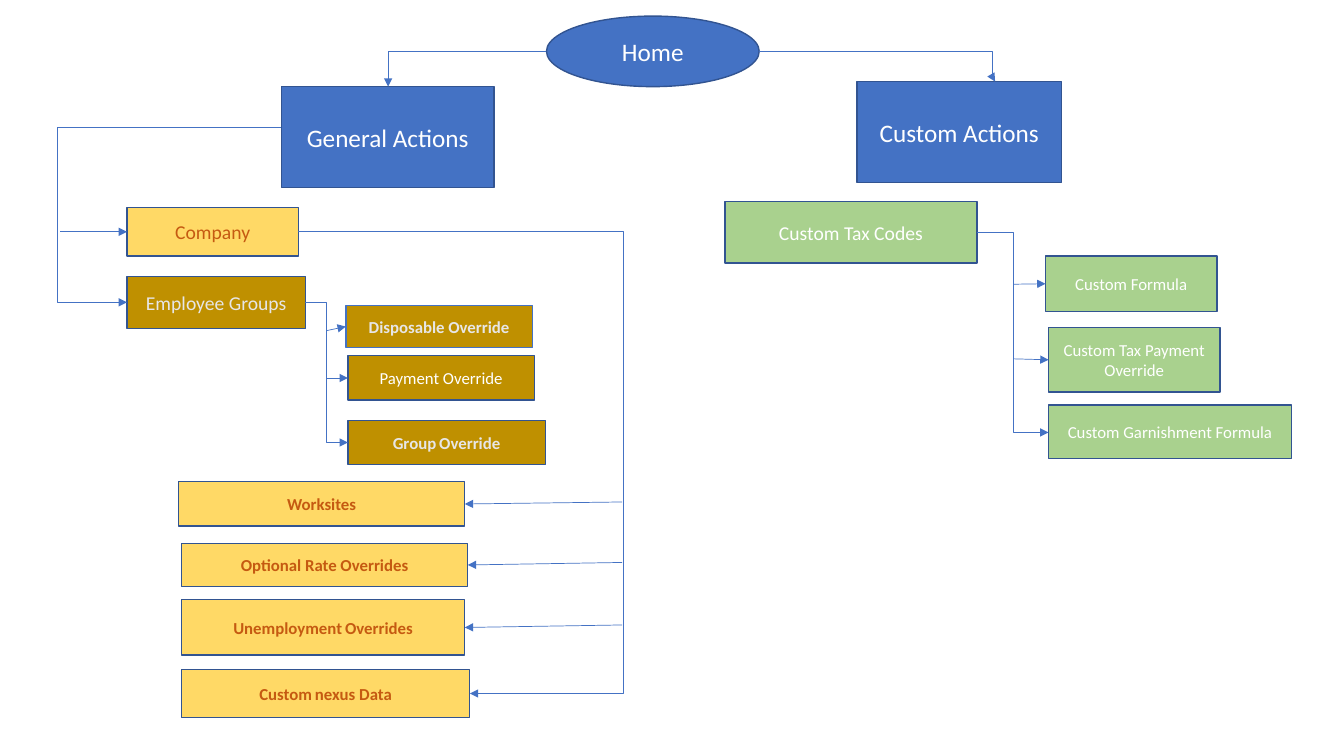
from dataclasses import dataclass

from lxml.etree import SubElement
from pptx import Presentation
from pptx.dml.color import RGBColor
from pptx.enum.shapes import MSO_CONNECTOR, MSO_SHAPE
from pptx.enum.text import MSO_ANCHOR, PP_ALIGN
from pptx.oxml.ns import qn
from pptx.util import Inches, Pt


@dataclass(frozen=True)
class Theme:
    font: str = "Calibri"
    blue: str = "4472C4"
    edge: str = "325491"
    gold: str = "FFD966"
    ochre: str = "BF9000"
    green: str = "A9D18E"
    rust: str = "C55A11"
    pale: str = "E7E6E6"
    white: str = "FFFFFF"
    large: int = 18
    mid: int = 14
    small: int = 12
    edge_pt: float = 1
    wire_pt: float = 0.5


THEME = Theme()
LEFT, RIGHT = 1, 3
HEAD = dict(fill=THEME.blue, ink=THEME.white, size=THEME.large)
FIRM = dict(fill=THEME.gold, ink=THEME.rust, size=THEME.mid)
DATA = dict(FIRM, size=THEME.small, bold=True)
GROUP = dict(fill=THEME.ochre, ink=THEME.pale, size=THEME.mid)
OVER = dict(GROUP, size=THEME.small, bold=True)
TAX = dict(fill=THEME.green, ink=THEME.white, size=THEME.mid)
RULE = dict(TAX, size=THEME.small)

# name: (left, top, width, height), style
BOXES = {
    "Company": ((1.26, 2.06, 1.7, 0.48), FIRM),
    "Worksites": ((1.77, 4.78, 2.84, 0.44), DATA),
    "Unemployment Overrides": ((1.8, 5.95, 2.81, 0.55), dict(DATA, gap=(9, False))),
    "Optional Rate Overrides": ((1.8, 5.39, 2.84, 0.43), DATA),
    "Custom nexus Data": ((1.8, 6.64, 2.86, 0.48), dict(DATA, gap=(9, False))),
    "Employee Groups": ((1.26, 2.74, 1.77, 0.52), GROUP),
    "Disposable Override": ((3.43, 3.03, 1.85, 0.42),
                            dict(OVER, gap=(11, False), edge=THEME.blue)),
    "Payment Override": ((3.45, 3.53, 1.85, 0.44),
                         dict(OVER, ink=THEME.white, bold=False)),
    "Group Override": ((3.45, 4.17, 1.96, 0.44), dict(OVER, gap=(9, True))),
    "General Actions": ((2.79, 0.86, 2.11, 1), HEAD),
    "Custom Actions": ((8.5, 0.81, 2.03, 1), HEAD),
    "Custom Tax Codes": ((7.19, 2, 2.5, 0.61), TAX),
    "Custom Tax Payment Override": ((10.4, 3.25, 1.7, 0.64), RULE),
    "Custom Formula": ((10.37, 2.54, 1.7, 0.55), RULE),
    "Custom Garnishment Formula": ((10.4, 4.02, 2.41, 0.53), RULE),
}

# start, end, x of the upright part (None: a single corner)
BENDS = [
    ((3.03, 3), (3.45, 4.39), 3.24),
    ((2.96, 2.3), (4.66, 6.88), 6.18),
    ((7.53, 0.51), (9.87, 0.81), 9.84),
    ((5.42, 0.51), (3.85, 0.86), None),
    ((2.79, 1.26), (1.26, 3), 0.57),
    ((9.69, 2.31), (10.4, 4.29), 10.05),
]

# start, box reached, side of that box
TAPS = [
    ((3.24, 3.75), "Payment Override", LEFT),
    ((3.24, 3.28), "Disposable Override", LEFT),
    ((6.17, 4.98), "Worksites", RIGHT),
    ((6.17, 5.58), "Optional Rate Overrides", RIGHT),
    ((6.17, 6.2), "Unemployment Overrides", RIGHT),
    ((0.6, 2.3), "Company", LEFT),
    ((10.05, 3.56), "Custom Tax Payment Override", LEFT),
    ((10.05, 2.82), "Custom Formula", LEFT),
]


def apply(item, values):
    for name, value in values.items():
        setattr(item, name, value)


def write(shape, text, ink, size, bold, gap):
    """Set centred text; gap is the size and weight of the first space."""
    shape.text_frame.vertical_anchor = MSO_ANCHOR.MIDDLE
    para = shape.text_frame.paragraphs[0]
    para.alignment = PP_ALIGN.CENTER
    runs = [(text, size, bold)]
    if gap:
        first, rest = text.split(" ", 1)
        runs = [(first, size, bold), (" ", *gap), (rest, size, bold)]
    for part, points, heavy in runs:
        run = para.add_run()
        run.text = part
        apply(run.font, dict(name=THEME.font, size=Pt(points), bold=heavy))
        run.font.color.rgb = RGBColor.from_string(ink)


def add_box(slide, text, place, fill, ink, size, bold=False, gap=None,
            edge=THEME.edge, kind=MSO_SHAPE.RECTANGLE):
    shape = slide.shapes.add_shape(kind, *map(Inches, place))
    shape.shadow.inherit = False
    shape.fill.solid()
    shape.fill.fore_color.rgb = RGBColor.from_string(fill)
    shape.line.color.rgb = RGBColor.from_string(edge)
    shape.line.width = Pt(THEME.edge_pt)
    write(shape, text, ink, size, bold, gap)
    return shape


def add_wire(slide, kind, start, end):
    wire = slide.shapes.add_connector(kind, *map(Inches, (*start, *end)))
    wire.line.color.rgb = RGBColor.from_string(THEME.blue)
    wire.line.width = Pt(THEME.wire_pt)
    props = wire.element.spPr
    SubElement(props.find(qn("a:ln")), qn("a:tailEnd"), type="triangle")
    SubElement(props, qn("a:effectLst"))
    return wire


def add_bend(slide, start, end, turn):
    wire = add_wire(slide, MSO_CONNECTOR.ELBOW, start, end)
    geom = wire.element.spPr.find(qn("a:prstGeom"))
    if turn is None:
        geom.set("prst", "bentConnector2")
        return
    ratio = (turn - start[0]) / (end[0] - start[0])
    SubElement(geom.find(qn("a:avLst")), qn("a:gd"), name="adj1",
               fmla=f"val {round(ratio * 100000)}")


def add_tap(slide, start, box, side):
    wire = add_wire(slide, MSO_CONNECTOR.STRAIGHT, start, start)
    wire.end_connect(box, side)


def main():
    deck = Presentation()
    apply(deck, dict(slide_width=Inches(13.33), slide_height=Inches(7.5)))
    slide = deck.slides.add_slide(deck.slide_layouts[6])
    add_box(slide, "Home", (5.42, 0.16, 2.11, 0.7), kind=MSO_SHAPE.OVAL, **HEAD)
    boxes = {name: add_box(slide, name, place, **style)
             for name, (place, style) in BOXES.items()}
    for bend in BENDS:
        add_bend(slide, *bend)
    for start, name, side in TAPS:
        add_tap(slide, start, boxes[name], side)
    deck.save("out.pptx")


if __name__ == "__main__":
    main()
